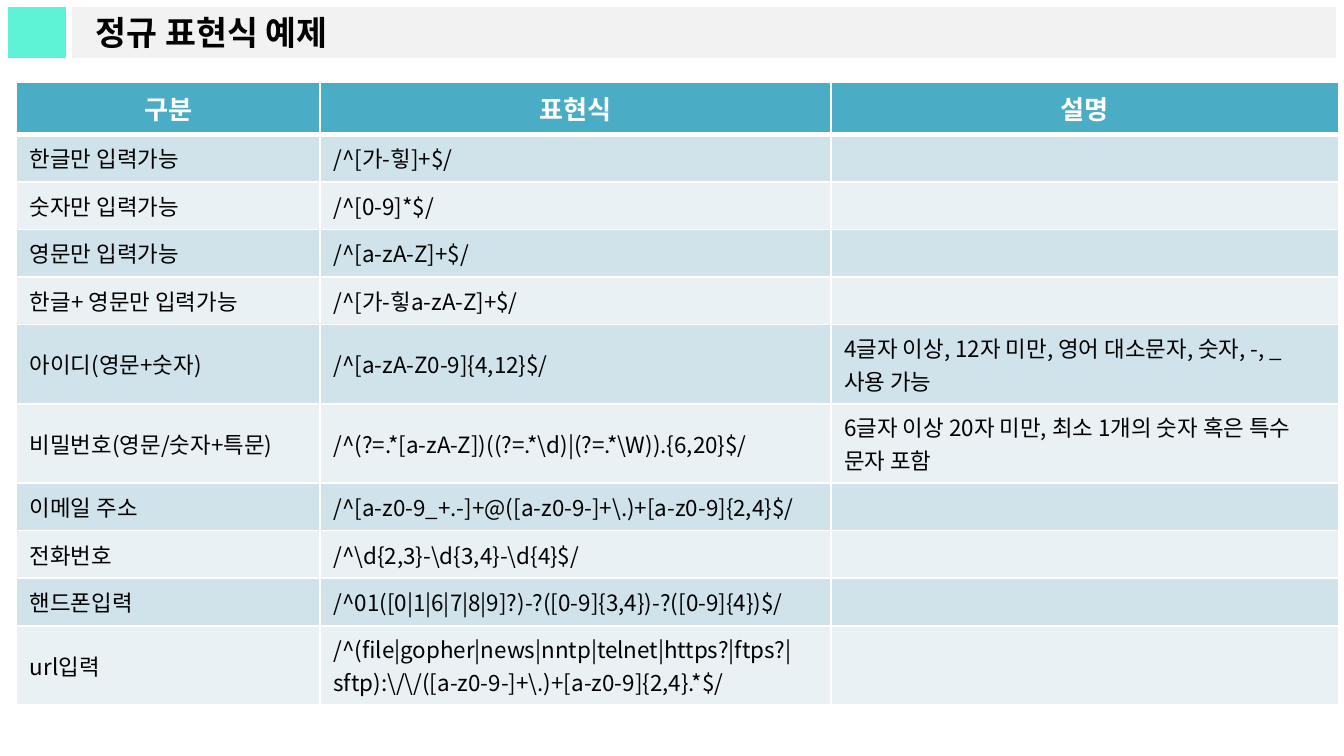
from lxml.etree import SubElement
from pptx import Presentation
from pptx.dml.color import RGBColor
from pptx.enum.shapes import MSO_SHAPE
from pptx.enum.text import MSO_ANCHOR, PP_ALIGN
from pptx.oxml.ns import qn
from pptx.util import Pt

FONT = "Noto Sans CJK KR"
COLORS = {
    "mint": "5EF2D7", "gray": "F2F2F2", "head": "4BACC6", "dark": "D0E3EA",
    "light": "E9F1F5", "white": "FFFFFF", "black": "000000",
}
HEADS = ["구분", "표현식", "설명"]
RULES = [
    ("한글만 입력가능", "/^[가-힣]+$/", ""),
    ("숫자만 입력가능", "/^[0-9]*$/", ""),
    ("영문만 입력가능", "/^[a-zA-Z]+$/", ""),
    ("한글+ 영문만 입력가능", "/^[가-힣a-zA-Z]+$/", ""),
    ("아이디(영문+숫자)", "/^[a-zA-Z0-9]{4,12}$/",
     "4글자 이상, 12자 미만, 영어 대소문자, 숫자, -, _ 사용 가능"),
    ("비밀번호(영문/숫자+특문)", r"/^(?=.*[a-zA-Z])((?=.*\d)|(?=.*\W)).{6,20}$/",
     "6글자 이상 20자 미만, 최소 1개의 숫자 혹은 특수 문자 포함"),
    ("이메일 주소", r"/^[a-z0-9_+.-]+@([a-z0-9-]+\.)+[a-z0-9]{2,4}$/", ""),
    ("전화번호", r"/^\d{2,3}-\d{3,4}-\d{4}$/", ""),
    ("핸드폰입력", "/^01([0|1|6|7|8|9]?)-?([0-9]{3,4})-?([0-9]{4})$/", ""),
    ("url입력",
     r"/^(file|gopher|news|nntp|telnet|https?|ftps?|sftp):\/\/([a-z0-9-]+\.)+[a-z0-9]{2,4}.*$/", ""),
]
WIDTHS = [162.7, 273.6, 272.2]
HEIGHTS = [28] + [25.5] * 4 + [42.5] * 2 + [25.5] * 3 + [42.5]


def style(para, size, color, bold):
    font = para.font
    font.name, font.size, font.bold = FONT, Pt(size), bold
    font.color.rgb = RGBColor.from_string(COLORS[color])
    props = para._p.pPr.find(qn("a:defRPr"))
    SubElement(props, qn("a:ea"), typeface=FONT)
    if not para.runs:  # an empty line takes its height from here
        SubElement(para._p, qn("a:endParaRPr"), sz=str(size * 100))


def border(cell, widths):
    props = cell._tc.get_or_add_tcPr()
    for side, width in zip("LRTB", widths):
        line = SubElement(props, qn(f"a:ln{side}"), w=str(Pt(width)))
        fill = SubElement(line, qn("a:solidFill"))
        SubElement(fill, qn("a:srgbClr"), val=COLORS["white"])


deck = Presentation()
deck.slide_width, deck.slide_height = Pt(720), Pt(405)
slide = deck.slides.add_slide(deck.slide_layouts[5])

# Title bar with its accent square
title = slide.shapes.title
title.left, title.top, title.width, title.height = Pt(37), Pt(2.2), Pt(680.4), Pt(30.2)
square = slide.shapes.add_shape(MSO_SHAPE.RECTANGLE, Pt(2.9), Pt(2.2), Pt(33.8), Pt(30.2))
square.shadow.inherit = False
for shape, color in ((square, "mint"), (title, "gray")):
    shape.fill.solid()
    shape.fill.fore_color.rgb = RGBColor.from_string(COLORS[color])
    shape.line.color.rgb = RGBColor.from_string(COLORS["white"])
    shape.line.width = Pt(3)

frame = title.text_frame
frame.text = "정규 표현식 예제"
frame.word_wrap = True
frame.vertical_anchor = MSO_ANCHOR.MIDDLE
frame.margin_left, frame.margin_right = Pt(14.4), Pt(7.2)
frame.margin_top = frame.margin_bottom = Pt(3.6)
frame.paragraphs[0].alignment = PP_ALIGN.LEFT
style(frame.paragraphs[0], 18, "black", True)

# Table of patterns
rows = [HEADS] + RULES
table = slide.shapes.add_table(
    len(rows), len(HEADS), Pt(8.8), Pt(43.9), Pt(sum(WIDTHS)), Pt(sum(HEIGHTS))).table
for col, width in zip(table.columns, WIDTHS):
    col.width = Pt(width)
for row, height in zip(table.rows, HEIGHTS):
    row.height = Pt(height)

for r, texts in enumerate(rows):
    head = r == 0
    shade = "head" if head else "dark" if r % 2 else "light"
    for c, text in enumerate(texts):
        cell = table.cell(r, c)
        cell.text = text
        cell.vertical_anchor = MSO_ANCHOR.MIDDLE
        border(cell, (1, 1, 3 if r == 1 else 1, 3 if head else 1))
        cell.fill.solid()
        cell.fill.fore_color.rgb = RGBColor.from_string(COLORS[shade])
        para = cell.text_frame.paragraphs[0]
        para.alignment = PP_ALIGN.CENTER if head else PP_ALIGN.LEFT
        style(para, 14 if head else 12, "white" if head else "black", head)

deck.save("out.pptx")
